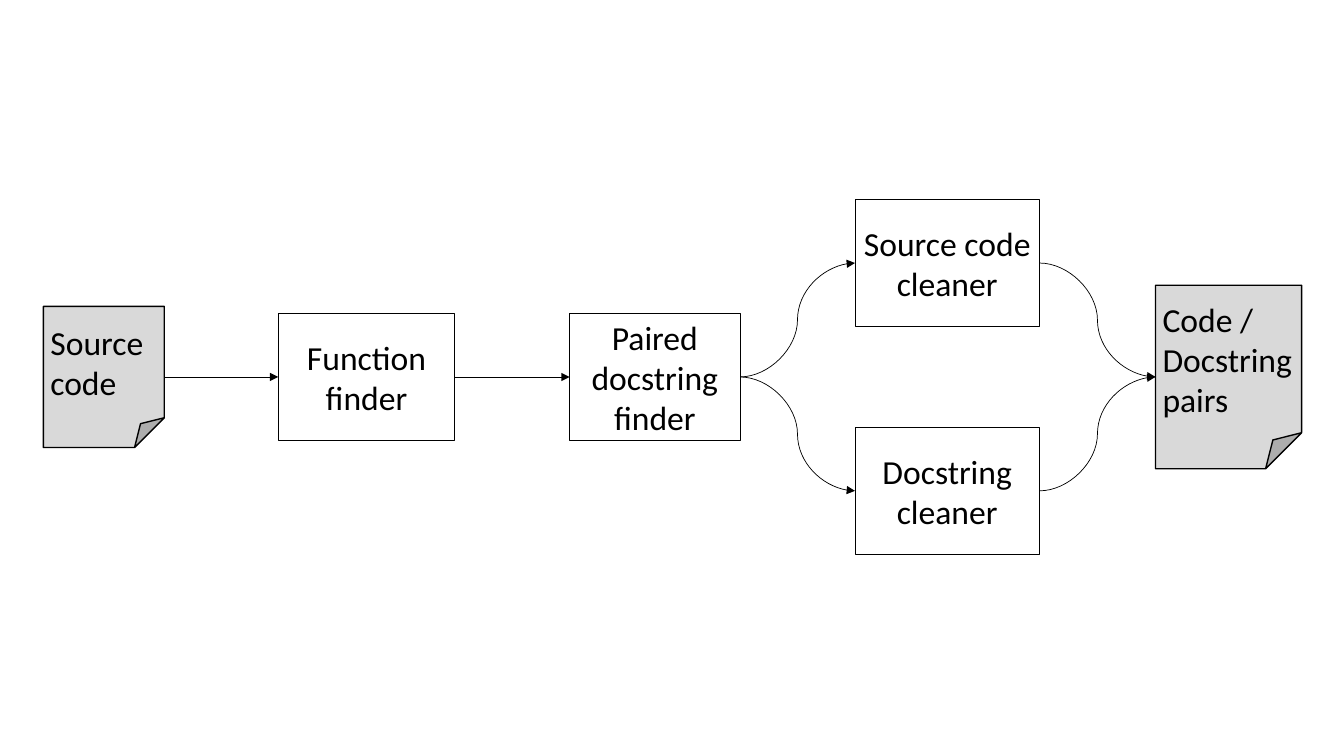
from dataclasses import dataclass

from lxml import etree
from pptx import Presentation
from pptx import util as u
from pptx.dml.color import RGBColor
from pptx.enum import shapes, text
from pptx.oxml import ns


@dataclass(frozen=True)
class Theme:
    """Colours, type and line widths of the slide."""
    ink: RGBColor = RGBColor(0, 0, 0)
    paper: RGBColor = RGBColor(0xD9, 0xD9, 0xD9)
    font: str = "Calibri"
    size: float = 24
    hairline: float = 0.25
    arrow_line: float = 0.5
    document_line: float = 1


THEME = Theme()
LEFT_SITE, RIGHT_SITE = 1, 3
STEP_HEIGHT = 1.26
STRAIGHT = shapes.MSO_CONNECTOR.STRAIGHT
CURVE = shapes.MSO_CONNECTOR.CURVE


def write_text(shape, lines, align, inset_x, inset_y):
    """Write one paragraph per line, centred vertically in the shape."""
    frame = shape.text_frame
    frame.word_wrap = True
    frame.vertical_anchor = text.MSO_ANCHOR.MIDDLE
    frame.margin_left = frame.margin_right = u.Inches(inset_x)
    frame.margin_top = frame.margin_bottom = u.Inches(inset_y)
    frame.text = "\n".join(lines)
    for paragraph in frame.paragraphs:
        paragraph.alignment = align
        font = paragraph.runs[0].font
        font.name, font.size = THEME.font, u.Pt(THEME.size)
        font.color.rgb = THEME.ink


def add_outlined(slide, kind, box, line_width):
    """Add a shape with a black outline, no fill and no shadow."""
    shape = slide.shapes.add_shape(kind, *map(u.Inches, box))
    shape.shadow.inherit = False
    shape.fill.background()
    shape.line.color.rgb = THEME.ink
    shape.line.width = u.Pt(line_width)
    return shape


def add_step(slide, label, box):
    """Add a processing step as a plain rectangle."""
    step = add_outlined(slide, shapes.MSO_SHAPE.RECTANGLE, box, THEME.hairline)
    write_text(step, [label], align=text.PP_ALIGN.CENTER, inset_x=0.02, inset_y=0.08)
    return step


def add_document(slide, lines, box):
    """Add a grey document with a folded corner."""
    document = add_outlined(slide, shapes.MSO_SHAPE.FOLDED_CORNER, box, THEME.document_line)
    # python-pptx lists no adjustment for this preset, so the fold is set in XML.
    guides = next(document._element.iter(ns.qn("a:avLst")))
    etree.SubElement(guides, ns.qn("a:gd"), name="adj", fmla="val 24600")
    document.fill.solid()
    document.fill.fore_color.rgb = THEME.paper
    write_text(document, lines, align=text.PP_ALIGN.LEFT, inset_x=0.07, inset_y=0.04)
    return document


def add_arrow(slide, start, end, kind=CURVE, width=THEME.arrow_line):
    """Link the right side of one shape to the left side of the next."""
    arrow = slide.shapes.add_connector(kind, 0, 0, 0, 0)
    arrow.begin_connect(start, RIGHT_SITE)
    arrow.end_connect(end, LEFT_SITE)
    arrow.line.color.rgb = THEME.ink
    arrow.line.width = u.Pt(width)
    etree.SubElement(arrow.line._get_or_add_ln(), ns.qn("a:tailEnd"), type="triangle")
    etree.SubElement(arrow._element.spPr, ns.qn("a:effectLst"))


def add_pipeline(slide, box):
    """Draw the flow from source code to pairs inside the box."""
    left, top, width, height = box
    middle = top + height / 2

    def centred(x, part_width, part_height):
        """Return a box centred on the middle row."""
        return left + x, middle - part_height / 2, part_width, part_height

    def cleaner(y):
        """Return a box in the column of cleaners."""
        return left + 8.05, y, 1.83, STEP_HEIGHT

    source = add_document(slide, ["Source", "code"], centred(0, 1.2, 1.4))
    function_finder = add_step(slide, "Function finder", centred(2.33, 1.75, STEP_HEIGHT))
    docstring_finder = add_step(slide, "Paired docstring finder",
                                centred(5.22, 1.69, STEP_HEIGHT))
    cleaners = [
        add_step(slide, "Source code cleaner", cleaner(top)),
        add_step(slide, "Docstring cleaner", cleaner(top + height - STEP_HEIGHT)),
    ]
    pairs = add_document(slide, ["Code / Docstring pairs"],
                         centred(width - 1.45, 1.45, 1.82))

    add_arrow(slide, source, function_finder, kind=STRAIGHT, width=THEME.hairline)
    add_arrow(slide, function_finder, docstring_finder, kind=STRAIGHT)
    for step in cleaners:
        add_arrow(slide, docstring_finder, step)
        add_arrow(slide, step, pairs)


def main():
    """Build and save the presentation."""
    presentation = Presentation()
    presentation.slide_width = u.Inches(13.33)
    presentation.slide_height = u.Inches(7.5)
    blank_layout = presentation.slide_layouts[6]
    slide = presentation.slides.add_slide(blank_layout)
    add_pipeline(slide, box=(0.43, 1.98, 12.48, 3.52))
    presentation.save("out.pptx")


main()
